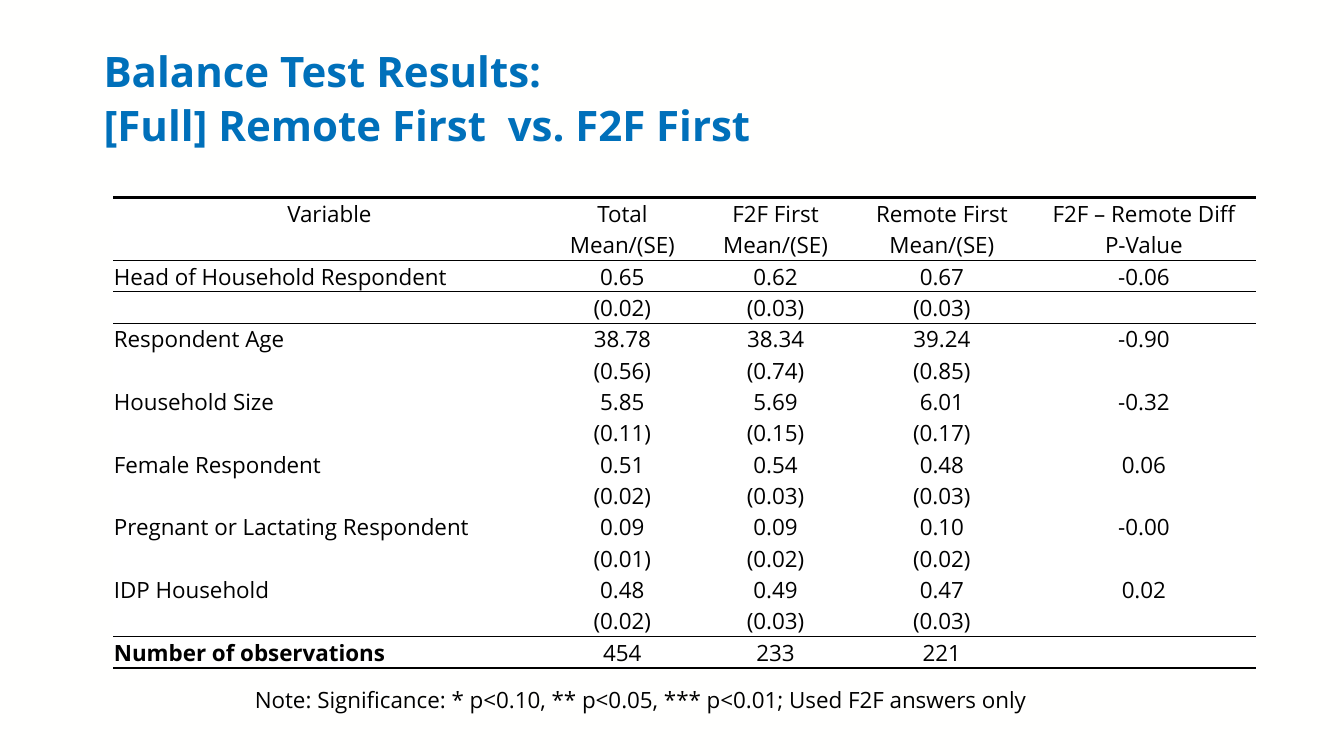
from lxml.etree import SubElement
from pptx import Presentation
from pptx.dml.color import RGBColor
from pptx.enum.text import MSO_ANCHOR as Anchor, MSO_AUTO_SIZE as AutoSize, PP_ALIGN as Align
from pptx.oxml import parse_xml
from pptx.oxml.ns import nsdecls, qn
from pptx.util import Cm, Pt

BLUE = RGBColor(0x00, 0x70, 0xBA)
BLACK = RGBColor(0x00, 0x00, 0x00)
WHITE = RGBColor(0xFF, 0xFF, 0xFF)
BACKGROUND = RGBColor(0xFF, 0xFF, 0xFE)
NO_STYLE = "{2D5ABB26-0587-4C30-8999-92F81FD0307C}"

TITLE = ["Balance Test Results:", "[Full] Remote First  vs. F2F First"]
NOTE = "Note: Significance: * p<0.10, ** p<0.05, *** p<0.01; Used F2F answers only"
HEADER = [
    ["Variable", "Total", "F2F First", "Remote First", "F2F – Remote Diff"],
    ["", "Mean/(SE)", "Mean/(SE)", "Mean/(SE)", "P-Value"],
]
# variable, means, standard errors, difference
BALANCE = [
    ("Head of Household Respondent", ["0.65", "0.62", "0.67"], ["0.02", "0.03", "0.03"], "-0.06"),
    ("Respondent Age", ["38.78", "38.34", "39.24"], ["0.56", "0.74", "0.85"], "-0.90"),
    ("Household Size", ["5.85", "5.69", "6.01"], ["0.11", "0.15", "0.17"], "-0.32"),
    ("Female Respondent", ["0.51", "0.54", "0.48"], ["0.02", "0.03", "0.03"], "0.06"),
    ("Pregnant or Lactating Respondent", ["0.09", "0.09", "0.10"], ["0.01", "0.02", "0.02"], "-0.00"),
    ("IDP Household", ["0.48", "0.49", "0.47"], ["0.02", "0.03", "0.03"], "0.02"),
]
OBSERVATIONS = ["Number of observations", "454", "233", "221", ""]
COLUMN_WIDTHS = [10.9, 3.86, 3.86, 4.52, 5.66]
ROW_HEIGHT = 0.79


def balance_rows():
    """Alternate a row of means with a row of bracketed standard errors."""
    rows = list(HEADER)
    for variable, means, errors, difference in BALANCE:
        rows.append([variable, *means, difference])
        rows.append(["", *(f"({error})" for error in errors), ""])
    return rows + [OBSERVATIONS]


class BalanceSlide:
    font_name = "Open Sans"
    body_size = 16

    def __init__(self, presentation):
        self.slide = presentation.slides.add_slide(presentation.slide_layouts[6])
        fill = self.slide.background.fill
        fill.solid()
        fill.fore_color.rgb = BACKGROUND

    def styled_run(self, paragraph, text, size, color=BLACK, bold=False):
        run = paragraph.add_run()
        run.text = text
        for name, value in {"name": self.font_name, "size": Pt(size), "bold": bold}.items():
            setattr(run.font, name, value)
        run.font.color.rgb = color

    def text(self, box, lines, size, frame_format, paragraph_format, **style):
        frame = self.slide.shapes.add_textbox(*map(Cm, box)).text_frame
        for name, value in frame_format.items():
            setattr(frame, name, value)
        for index, line in enumerate(lines):
            paragraph = frame.add_paragraph() if index else frame.paragraphs[0]
            for name, value in paragraph_format.items():
                setattr(paragraph, name, value)
            self.styled_run(paragraph, line, size, **style)

    def rule(self, cell, side, width):
        """Draw the top (T) or bottom (B) border of a cell."""
        cell._tc.get_or_add_tcPr().insert(0, parse_xml(
            f'<a:ln{side} {nsdecls("a")} w="{Pt(width)}"><a:solidFill>'
            f'<a:srgbClr val="{BLACK}"/></a:solidFill></a:ln{side}>'))

    def cell(self, cell, text, align, bold):
        margins = {"margin_left": Cm(0.02), "margin_right": Cm(0.02),
                   "margin_top": Cm(0.02), "margin_bottom": 0}
        for name, value in {**margins, "vertical_anchor": Anchor.MIDDLE}.items():
            setattr(cell, name, value)
        cell.fill.solid()
        cell.fill.fore_color.rgb = WHITE
        paragraph = cell.text_frame.paragraphs[0]
        paragraph.alignment = align
        if text:
            self.styled_run(paragraph, text, self.body_size, bold=bold)
        else:
            SubElement(paragraph._p, qn("a:endParaRPr"), sz=str(self.body_size * 100))

    def table(self, left, top, rows, rules):
        """Fill the table; rules maps a row to its borders by side."""
        frame = self.slide.shapes.add_table(
            len(rows), len(COLUMN_WIDTHS), Cm(left), Cm(top),
            Cm(sum(COLUMN_WIDTHS)), Cm(ROW_HEIGHT * len(rows)))
        table = frame.table
        table.first_row = table.horz_banding = False
        table._tbl.tblPr.find(qn("a:tableStyleId")).text = NO_STYLE
        for column, width in zip(table.columns, COLUMN_WIDTHS):
            column.width = Cm(width)
        for r, values in enumerate(rows):
            table.rows[r].height = Cm(ROW_HEIGHT)
            for c, value in enumerate(values):
                is_label = c == 0 and r >= len(HEADER)
                cell = table.cell(r, c)
                self.cell(cell, value, Align.LEFT if is_label else Align.CENTER,
                          is_label and values is OBSERVATIONS)
                for side, width in rules.get(r, {}).items():
                    self.rule(cell, side, width)


def main():
    presentation = Presentation()
    presentation.slide_width, presentation.slide_height = Cm(33.86), Cm(19.05)
    slide = BalanceSlide(presentation)
    slide.text((2.36, 0.94, 29.29, 3.2), TITLE, 30,
               {"word_wrap": True, "vertical_anchor": Anchor.MIDDLE,
                "auto_size": AutoSize.TEXT_TO_FIT_SHAPE},
               {"line_spacing": 0.9, "space_after": Pt(6)}, color=BLUE, bold=True)
    rows = balance_rows()
    last = len(rows) - 1
    slide.table(2.85, 4.98, rows, {
        0: {"T": 2}, 1: {"B": 1}, 2: {"B": 0.75, "T": 1}, 3: {"T": 0.75},
        last - 1: {"B": 1}, last: {"B": 2, "T": 1}})
    slide.text((6.17, 17.17, 20.37, 0.94), [NOTE], slide.body_size,
               {"word_wrap": False, "auto_size": AutoSize.SHAPE_TO_FIT_TEXT}, {})
    presentation.save("out.pptx")


if __name__ == "__main__":
    main()
